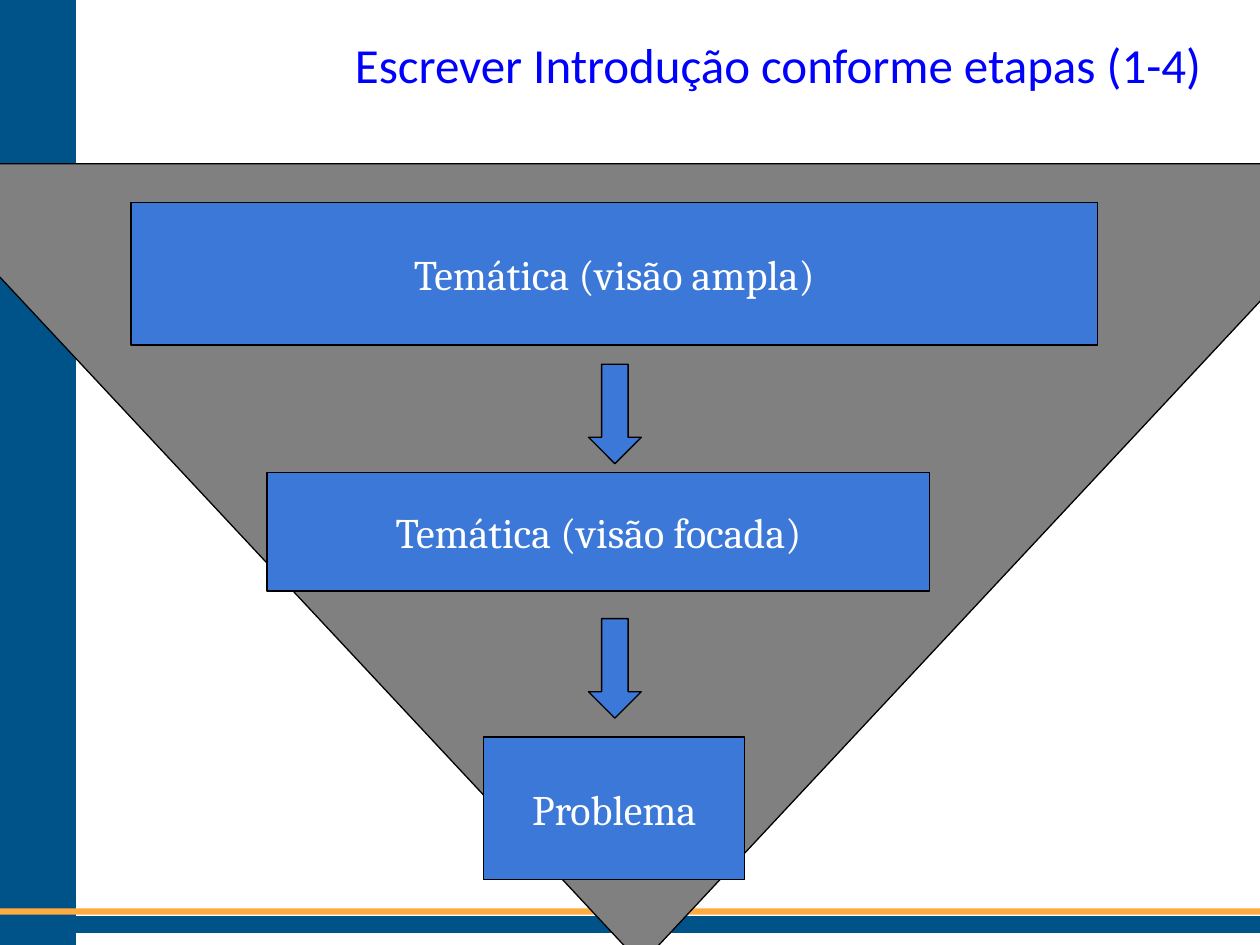
from dataclasses import dataclass

from pptx import Presentation
from pptx.dml.color import RGBColor
from pptx.enum.shapes import MSO_SHAPE as Shape
from pptx.enum.text import MSO_ANCHOR as Anchor, PP_ALIGN as Align
from pptx.util import Inches, Pt

COLUMNS, ROWS = 10, 7.5
CELL = Inches(1)


@dataclass(frozen=True)
class Theme:
    band: str = "005388"
    accent: str = "FFAB40"
    funnel: str = "808080"
    step: str = "3C78D8"
    outline: str = "000000"
    step_text: str = "FFFFFF"
    title_text: str = "0000FF"
    title_font: str = "Calibri"
    step_font: str = "Cambria"
    title_size: int = 28
    step_size: int = 24
    thin: float = 0.75


THEME = Theme()


@dataclass(frozen=True)
class Box:
    """An area in grid columns and rows."""
    left: float
    top: float
    width: float
    height: float

    def inner(self, left, top, width, height):
        return Box(self.left + left, self.top + top, width, height)

    def lengths(self):
        return [round(n * CELL) for n in (self.left, self.top, self.width, self.height)]


def add_figure(page, kind, box, fill, line=None, line_width=THEME.thin):
    figure = page.shapes.add_shape(kind, *box.lengths())
    figure.shadow.inherit = False
    figure.fill.solid()
    figure.fill.fore_color.rgb = RGBColor.from_string(fill)
    if line:
        figure.line.color.rgb = RGBColor.from_string(line)
        figure.line.width = Pt(line_width)
    else:
        figure.line.fill.background()
    return figure


def write(holder, text, *, font, size, color, align, anchor):
    frame = holder.text_frame
    frame.word_wrap = True
    frame.vertical_anchor = anchor
    frame.margin_left = frame.margin_right = Inches(0.1)
    frame.margin_top = frame.margin_bottom = Inches(0.1)
    para = frame.paragraphs[0]
    para.alignment = align
    span = para.add_run()
    span.text = text
    span.font.name = font
    span.font.size = Pt(size)
    span.font.color.rgb = RGBColor.from_string(color)


def add_backdrop(page, box):
    side = box.inner(0, 0, 0.6, box.height)
    foot = box.inner(0, box.height - 0.22, box.width, 0.12)
    stripe = box.inner(0, box.height - 0.29, box.width, 0.05)
    for band in (side, foot):
        add_figure(page, Shape.RECTANGLE, band, THEME.band, THEME.band, 1)
    add_figure(page, Shape.RECTANGLE, stripe, THEME.accent)


def add_title(page, box, text):
    holder = page.shapes.add_textbox(*box.lengths())
    write(holder, text, font=THEME.title_font, size=THEME.title_size,
          color=THEME.title_text, align=Align.RIGHT, anchor=Anchor.TOP)


def add_funnel(page, box):
    """Inverted triangle with steps that narrow towards its tip."""
    steps = [
        ("Temática (visão ampla)", (1.88, 0.31, 7.67, 1.13)),
        ("Temática (visão focada)", (2.96, 2.45, 5.26, 0.94)),
        ("Problema", (4.68, 4.55, 2.07, 1.13)),
    ]
    add_figure(page, Shape.FLOWCHART_MERGE, box, THEME.funnel, THEME.outline)
    for text, place in steps:
        step = add_figure(page, Shape.RECTANGLE, box.inner(*place), THEME.step, THEME.outline)
        write(step, text, font=THEME.step_font, size=THEME.step_size,
              color=THEME.step_text, align=Align.CENTER, anchor=Anchor.MIDDLE)
    for top in (1.59, 3.61):
        add_figure(page, Shape.DOWN_ARROW, box.inner(5.51, top, 0.42, 0.79),
                   THEME.step, THEME.outline)


def main():
    deck = Presentation()
    deck.slide_width = round(COLUMNS * CELL)
    deck.slide_height = round(ROWS * CELL)
    page = deck.slides.add_slide(deck.slide_layouts[6])
    add_backdrop(page, Box(0, 0, COLUMNS, ROWS))
    add_funnel(page, Box(-0.84, 1.3, 11.86, 6.35))
    add_title(page, Box(2.6, 0.17, 7.03, 0.78), "Escrever Introdução conforme etapas (1-4)")
    deck.save("out.pptx")


if __name__ == "__main__":
    main()
